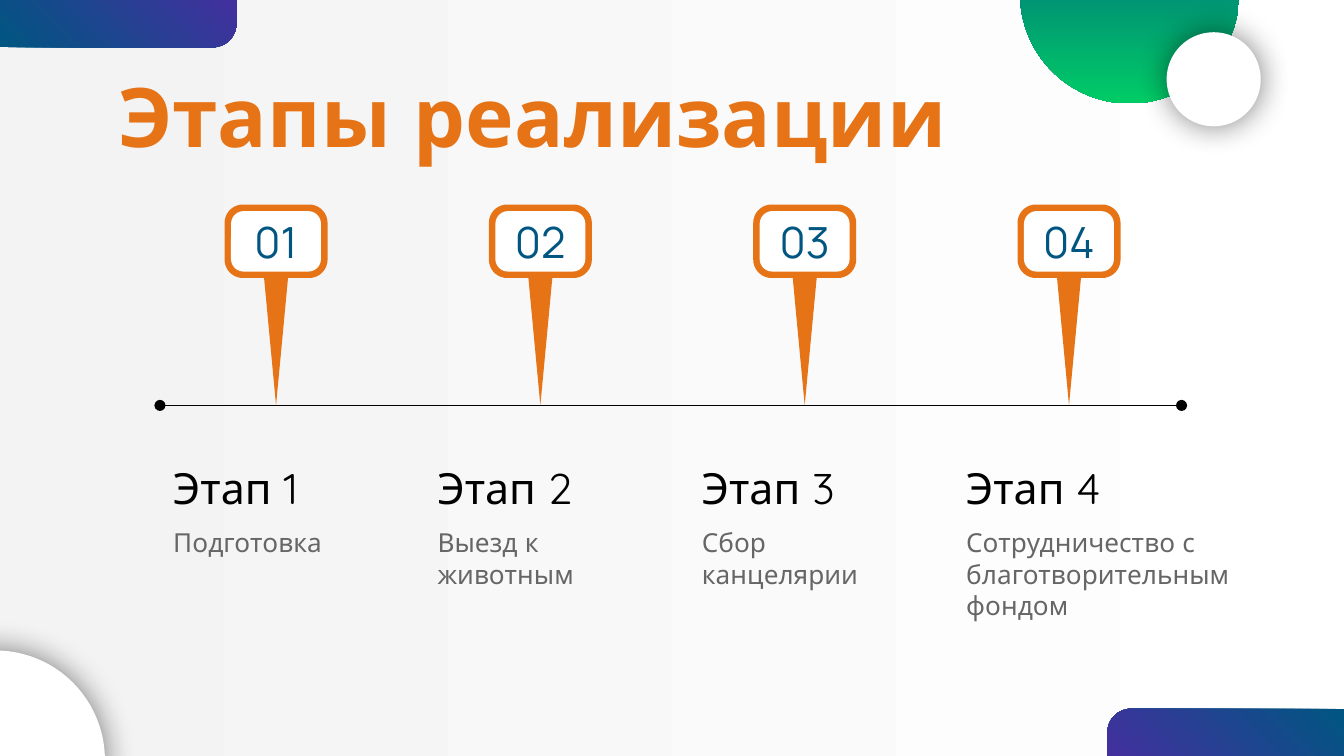
from dataclasses import dataclass
from math import cos, radians, sin

from lxml.etree import SubElement
from pptx import Presentation
from pptx.dml.color import RGBColor
from pptx.dml.fill import FillFormat
from pptx.enum.shapes import MSO_CONNECTOR, MSO_SHAPE
from pptx.enum.text import MSO_ANCHOR, PP_ALIGN
from pptx.oxml.ns import qn
from pptx.shapes.autoshape import Shape
from pptx.slide import Slide
from pptx.text.text import TextFrame
from pptx.util import Pt

ORANGE, BLUE, PURPLE, GREEN = "E67316", "005681", "43309F", "00CC66"
WHITE, BLACK, GRAY, PALE = "FFFFFF", "000000", "666666", "F3F3F3"
HEADING_FONT, NUMBER_FONT = "Quicksand", "Manrope"
STAGE_LEFT, STAGE_PITCH = 85.7, 141.6
PIN_OFFSET, PIN_TOP, PIN_WIDTH, PIN_HEIGHT, PIN_RADIUS = 34.6, 109.6, 55.2, 39.4, 9.9
PIN_BORDER, FACE_RADIUS, TAIL_HALF = 3.5, 6.8, 6.4
AXIS_Y = 217.2


@dataclass
class Stage:
    """A stage of the project on the timeline."""
    number: int
    description: str
    width: float = 123.8


STAGES = [
    Stage(1, "Подготовка"),
    Stage(2, "Выезд к животным"),
    Stage(3, "Сбор канцелярии", 131),
    Stage(4, "Сотрудничество с благотворительным\nфондом", 157),
]


def color(value: str) -> RGBColor:
    """Turn a hex string into a colour."""
    return RGBColor.from_string(value)


def paint_gradient(fill: FillFormat, start: str, end: str, angle: float) -> None:
    """Apply a two-colour gradient with a counter-clockwise angle."""
    fill.gradient()
    fill.gradient_angle = angle
    for stop, position, value in zip(fill.gradient_stops, (0, 1), (start, end)):
        stop.position = position
        stop.color.rgb = color(value)


def paint_plain(shape: Shape, value: str) -> None:
    """Give a shape a flat fill without outline or shadow."""
    shape.fill.solid()
    shape.fill.fore_color.rgb = color(value)
    shape.line.fill.background()
    shape.shadow.inherit = False


def write(frame: TextFrame, text: str, *, size: float, value: str,
          font: str = HEADING_FONT, bold: bool = False, inset: float = 7.2,
          align: PP_ALIGN = PP_ALIGN.LEFT,
          anchor: MSO_ANCHOR = MSO_ANCHOR.MIDDLE) -> None:
    """Fill a text frame with one formatted paragraph."""
    frame.word_wrap = True
    frame.vertical_anchor = anchor
    frame.margin_left = frame.margin_right = Pt(inset)
    frame.margin_top = frame.margin_bottom = Pt(inset)
    paragraph = frame.paragraphs[0]
    paragraph.text = text
    paragraph.alignment = align
    for run in paragraph.runs:
        run.font.name = font
        run.font.size = Pt(size)
        run.font.bold = bold
        run.font.color.rgb = color(value)


def add_text(slide: Slide, left: float, top: float, width: float, height: float,
             text: str, **style) -> None:
    """Add a text box."""
    box = slide.shapes.add_textbox(Pt(left), Pt(top), Pt(width), Pt(height))
    write(box.text_frame, text, **style)


def add_corner(slide: Slide, left: float, top: float, rotation: float) -> None:
    """Add a gradient block with one rounded corner."""
    corner = slide.shapes.add_shape(
        MSO_SHAPE.ROUND_1_RECTANGLE, Pt(left), Pt(top), Pt(126.7), Pt(25.3))
    corner.adjustments[0] = 0.5
    corner.rotation = rotation
    corner._element.spPr.xfrm.set("flipH", "1")
    paint_plain(corner, BLUE)
    paint_gradient(corner.fill, BLUE, PURPLE, 315)


def add_disc(slide: Slide, left: float, top: float, diameter: float) -> Shape:
    """Add a white disc."""
    disc = slide.shapes.add_shape(
        MSO_SHAPE.OVAL, Pt(left), Pt(top), Pt(diameter), Pt(diameter))
    paint_plain(disc, WHITE)
    return disc


def add_glow(disc: Shape) -> None:
    """Add a soft dark shadow around a disc."""
    effects = disc._element.spPr.find(qn("a:effectLst"))
    shadow = SubElement(effects, qn("a:outerShdw"), blurRad=str(Pt(16.9)), dist="0",
                        dir="0", algn="ctr", rotWithShape="0")
    tint = SubElement(shadow, qn("a:srgbClr"), val=BLACK)
    SubElement(tint, qn("a:alpha"), val="50000")


def pin_outline(left: float) -> list[tuple[int, int]]:
    """List the points of a rounded plate with a tail down to the axis."""
    center, bottom = left + PIN_WIDTH / 2, PIN_TOP + PIN_HEIGHT
    near, far = left + PIN_RADIUS, left + PIN_WIDTH - PIN_RADIUS
    high, low = PIN_TOP + PIN_RADIUS, bottom - PIN_RADIUS
    arcs = [(near, low, 90), (near, high, 180), (far, high, 270), (far, low, 360)]
    points = [(center, AXIS_Y), (center - TAIL_HALF, bottom)]
    for x, y, start in arcs:
        points += [(x + PIN_RADIUS * cos(radians(start + step)),
                    y + PIN_RADIUS * sin(radians(start + step)))
                   for step in range(0, 91, 10)]
    points.append((center + TAIL_HALF, bottom))
    return [(Pt(x), Pt(y)) for x, y in points]


def add_pin(slide: Slide, left: float, number: int) -> None:
    """Add a numbered pin that points at the axis."""
    start, *rest = pin_outline(left)
    builder = slide.shapes.build_freeform(*start)
    builder.add_line_segments(rest, close=True)
    paint_plain(builder.convert_to_shape(), ORANGE)
    face_height = PIN_HEIGHT - 2 * PIN_BORDER
    face = slide.shapes.add_shape(
        MSO_SHAPE.ROUNDED_RECTANGLE, Pt(left + PIN_BORDER), Pt(PIN_TOP + PIN_BORDER),
        Pt(PIN_WIDTH - 2 * PIN_BORDER), Pt(face_height))
    face.adjustments[0] = FACE_RADIUS / face_height
    paint_plain(face, WHITE)
    write(face.text_frame, f"{number:02}", size=23, value=BLUE, font=NUMBER_FONT,
          inset=0, align=PP_ALIGN.CENTER)


def add_axis(slide: Slide) -> None:
    """Add the timeline axis with round ends."""
    axis = slide.shapes.add_connector(
        MSO_CONNECTOR.STRAIGHT, Pt(85.7), Pt(AXIS_Y), Pt(633), Pt(AXIS_Y))
    axis.line.color.rgb = color(BLACK)
    axis.line.width = Pt(0.75)
    line = axis.line._get_or_add_ln()
    for end in ("a:headEnd", "a:tailEnd"):
        SubElement(line, qn(end), type="oval")
    SubElement(axis._element.spPr, qn("a:effectLst"))


def add_stage(slide: Slide, stage: Stage) -> None:
    """Add the pin, heading and description of a stage."""
    left = STAGE_LEFT + (stage.number - 1) * STAGE_PITCH
    add_pin(slide, left + PIN_OFFSET, stage.number)
    add_text(slide, left, 247, 123.8, 28, f"Этап {stage.number}", size=23, value=BLACK)
    add_text(slide, left, 275, stage.width, 62, stage.description, size=14,
             value=GRAY, anchor=MSO_ANCHOR.TOP)


def main() -> None:
    """Build the slide and save it."""
    deck = Presentation()
    deck.slide_width, deck.slide_height = Pt(720), Pt(405)
    slide = deck.slides.add_slide(deck.slide_layouts[6])
    paint_gradient(slide.background.fill, WHITE, PALE, 180)
    add_corner(slide, 593.3, 379.7, 0)
    add_corner(slide, 0, 0, 180)
    add_glow(add_disc(slide, -61.2, 348.5, 117.4))
    add_text(slide, 56.2, 42.5, 607.6, 37.5, "Этапы реализации", size=44,
             value=ORANGE, bold=True)
    add_axis(slide)
    for stage in STAGES:
        add_stage(slide, stage)
    green_disc = add_disc(slide, 546.5, -62, 117.4)
    paint_gradient(green_disc.fill, BLUE, GREEN, 270)
    add_glow(add_disc(slide, 625, 17.3, 50.4))
    deck.save("out.pptx")


if __name__ == "__main__":
    main()
